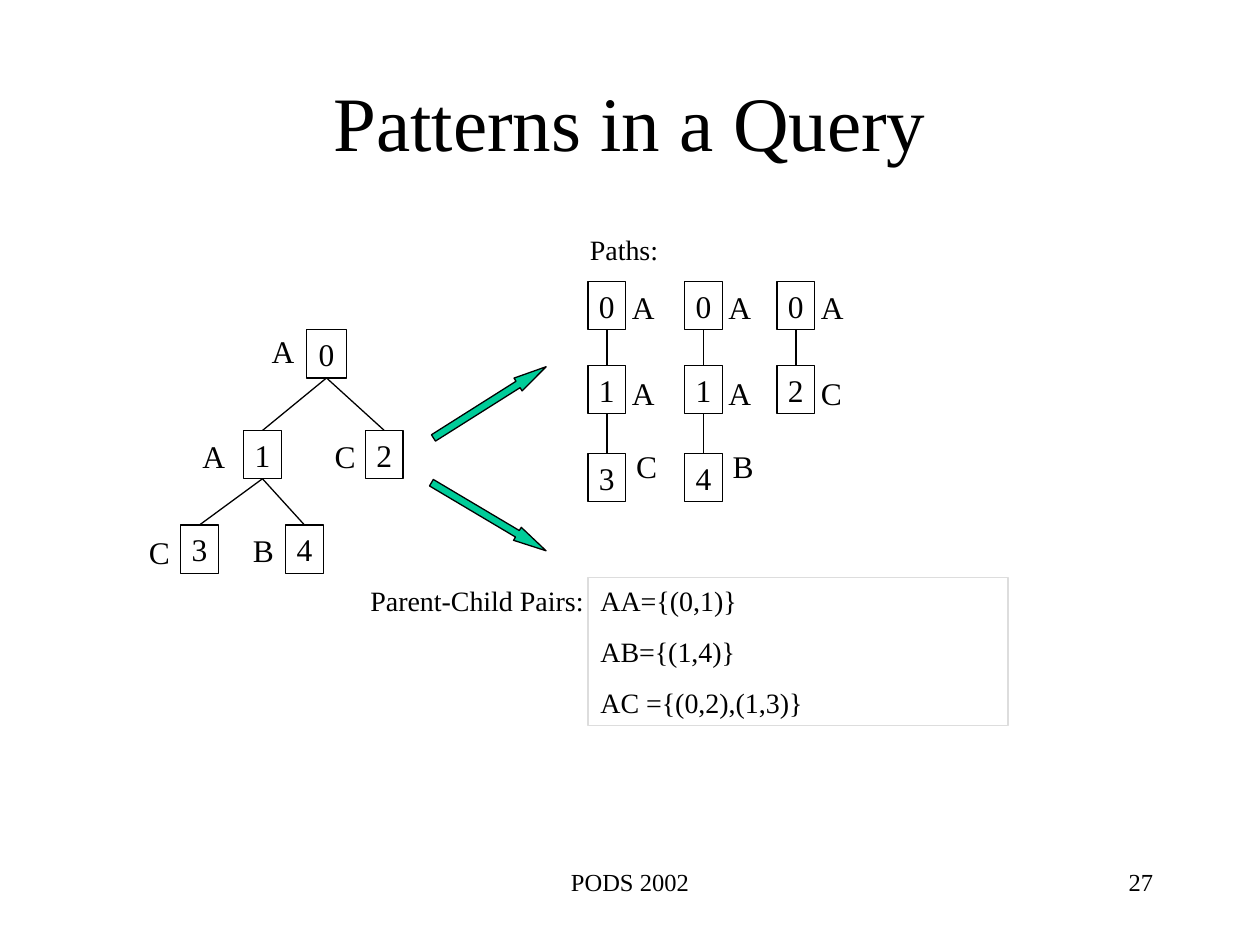
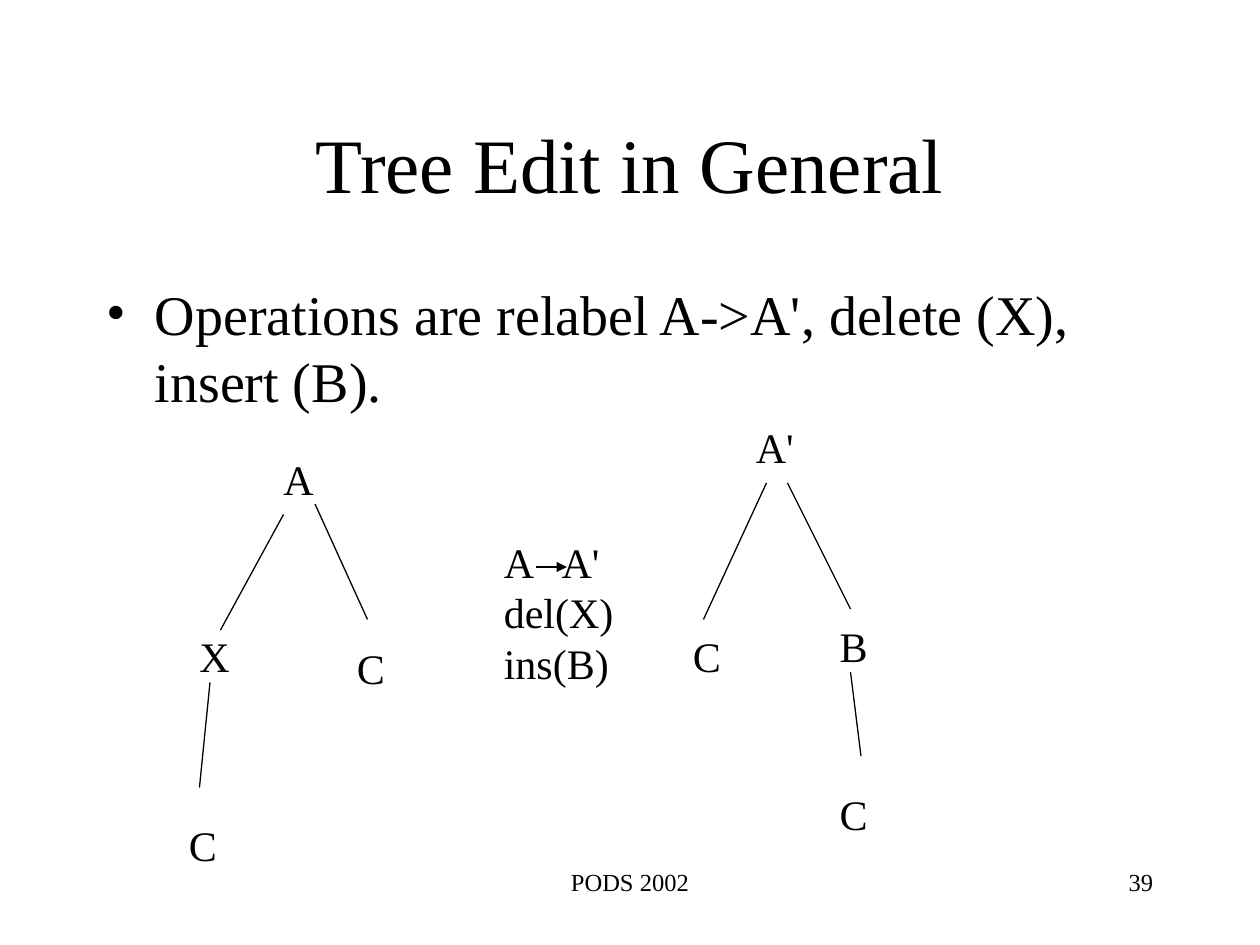
import pptx
import pptx.util
import pptx.dml.color
import pptx.enum.shapes
import pptx.enum.text
import pptx.oxml.ns
from lxml import etree

COLORS = {"ink": "000000", "frame": "DDDDDD", "arrow": "00CC99"}
FONT = "Times New Roman"
COLUMNS, ROWS = 120, 90
WIDTH, HEIGHT = pptx.util.Inches(10), pptx.util.Inches(7.5)
NODE_WIDTH, NODE_HEIGHT = 3.6, 4.6
ALIGN = pptx.enum.text.PP_ALIGN
ANCHOR = pptx.enum.text.MSO_ANCHOR
SHAPE = pptx.enum.shapes.MSO_SHAPE


def col(count):
    return int(WIDTH * count / COLUMNS)


def row(count):
    return int(HEIGHT * count / ROWS)


def place(left, top, width, height):
    return col(left), row(top), col(width), row(height)


def rgb(name):
    return pptx.dml.color.RGBColor.from_string(COLORS[name])


def add_xml(parent, tag, **attributes):
    return etree.SubElement(parent, pptx.oxml.ns.qn(tag), attributes)


def write(frame, lines, size, align=ALIGN.LEFT, gap=0, anchor=ANCHOR.TOP, wrap=True):
    frame.word_wrap = wrap
    frame.vertical_anchor = anchor
    for index, line in enumerate(lines):
        paragraph = frame.paragraphs[0] if index == 0 else frame.add_paragraph()
        paragraph.alignment = align
        if index:
            paragraph.space_before = pptx.util.Pt(gap)
        run = paragraph.add_run()
        run.text = line
        run.font.size = pptx.util.Pt(size)
        run.font.name = FONT
        run.font.color.rgb = rgb("ink")


def add_text(shapes, box, lines, size, **style):
    frame = shapes.add_textbox(*place(*box)).text_frame
    write(frame, lines, size, **style)
    return frame


def add_outline(shapes, kind, box, line="ink", fill=None):
    outline = shapes.add_shape(kind, *place(*box))
    outline.shadow.inherit = False
    outline.line.color.rgb = rgb(line)
    outline.line.width = pptx.util.Pt(0.75)
    if fill:
        outline.fill.solid()
        outline.fill.fore_color.rgb = rgb(fill)
    else:
        outline.fill.background()
    return outline


def add_line(shapes, x1, y1, x2, y2, arrowhead=False):
    line = shapes.add_connector(
        pptx.enum.shapes.MSO_CONNECTOR.STRAIGHT, col(x1), row(y1), col(x2), row(y2))
    line.line.color.rgb = rgb("ink")
    line.line.width = pptx.util.Pt(0.75)
    if arrowhead:
        add_xml(line.line._get_or_add_ln(), "a:tailEnd", type="triangle")
    add_xml(line._element.spPr, "a:effectLst")
    return line


def add_node(shapes, center, top, number, label, label_left, label_top, width=NODE_WIDTH):
    node = add_outline(shapes, SHAPE.RECTANGLE,
                       (center - width / 2, top, width, NODE_HEIGHT))
    write(node.text_frame, [number], 18, align=ALIGN.CENTER,
          anchor=ANCHOR.MIDDLE, wrap=False)
    add_text(shapes, (label_left, label_top, 4.8, 4.8), [label], 18)
    return node, center, top


def add_edge(shapes, parent, child):
    upper, upper_x, upper_top = parent
    lower, lower_x, lower_top = child
    edge = add_line(shapes, upper_x, upper_top + NODE_HEIGHT, lower_x, lower_top)
    edge.begin_connect(upper, 2)
    edge.end_connect(lower, 0)


def add_block_arrow(shapes, left, top, angle):
    arrow = add_outline(shapes, SHAPE.RIGHT_ARROW, (left, top, 12.7, 1.44), fill="arrow")
    arrow.adjustments[0] = 0.5
    arrow.adjustments[1] = 2.2
    arrow.rotation = angle


def start_slide(deck, title, title_top, number):
    slide = deck.slides.add_slide(deck.slide_layouts[6])
    add_text(slide.shapes, (9, title_top, 102, 15), [title], 44,
             align=ALIGN.CENTER, anchor=ANCHOR.MIDDLE)
    add_text(slide.shapes, (41, 82, 38, 6), ["PODS 2002"], 14, align=ALIGN.CENTER)
    add_text(slide.shapes, (86, 82, 25, 6), [number], 14, align=ALIGN.RIGHT)
    return slide.shapes


def add_query_tree(shapes):
    tree = shapes.add_group_shape().shapes
    root = add_node(tree, 31.1, 31.4, "0", "A", 24.7, 31, width=3.8)
    inner = add_node(tree, 25, 41, "1", "A", 18.1, 41)
    right = add_node(tree, 36.6, 41, "2", "C", 30.7, 41)
    left_leaf = add_node(tree, 19, 50, "3", "C", 13, 50.2)
    right_leaf = add_node(tree, 29, 50, "4", "B", 22.9, 50)
    for parent, child in ((root, inner), (root, right),
                          (inner, left_leaf), (inner, right_leaf)):
        add_edge(tree, parent, child)


def add_query_path(shapes, left, steps):
    levels = ((26.8, 26.8, 3), (34.8, 35, 3), (43.2, 42, 3.4))
    previous = None
    for (number, label), (top, label_top, shift) in zip(steps, levels):
        node = add_node(shapes, left + NODE_WIDTH / 2, top, number, label,
                        left + shift, label_top)
        if previous:
            add_edge(shapes, previous, node)
        previous = node


def build_patterns(deck):
    shapes = start_slide(deck, "Patterns in a Query", 4, "27")
    pairs = add_outline(shapes, SHAPE.RECTANGLE, (56, 55, 40, 14.1), line="frame")
    write(pairs.text_frame, ["AA={(0,1)}", "AB={(1,4)}", "AC ={(0,2),(1,3)}"], 16, gap=10)
    add_text(shapes, (34.1, 55, 24, 4.4), ["Parent-Child Pairs:"], 16)
    add_text(shapes, (55, 21.6, 32, 4.4), ["Paths:"], 16)
    paths = ((56, ("0A", "1A", "3C")), (65.2, ("0A", "1A", "4B")), (74, ("0A", "2C")))
    for left, steps in paths:
        add_query_path(shapes, left, steps)
    add_query_tree(shapes)
    add_block_arrow(shapes, 40.3, 37.6, 327.7)
    add_block_arrow(shapes, 40.2, 48.5, 30.7)


def build_tree_edit(deck):
    shapes = start_slide(deck, "Tree Edit in General", 8, "39")
    body = add_text(shapes, (9, 26, 102, 54),
                    ["Operations are relabel A->A', delete (X), insert (B)."], 32)
    indent = pptx.util.Inches(0.38)
    bullet = body.paragraphs[0]._p.get_or_add_pPr()
    bullet.set("marL", str(indent))
    bullet.set("indent", str(-indent))
    bullet_color = add_xml(bullet, "a:buClr")
    add_xml(bullet_color, "a:srgbClr", val=COLORS["ink"])
    add_xml(bullet, "a:buFont", typeface=FONT)
    add_xml(bullet, "a:buChar", char="•")

    labels = (("A", 25.8, 42.6), ("X", 17.8, 59.5), ("C", 32.8, 60.6), ("C", 16.8, 77.5),
              ("A'", 70.8, 39.6), ("C", 64.8, 59.5), ("B", 78.8, 58.5), ("C", 78.8, 74.5))
    for label, left, top in labels:
        add_text(shapes, (left, top, 7, 6), [label], 24)
    edges = ((27, 49, 21, 60), (30, 48, 35, 59), (19, 75, 20, 65),
             (73, 46, 67, 59), (75, 46, 81, 58), (82, 72, 81, 64))
    for edge in edges:
        add_line(shapes, *edge)

    operations = add_text(shapes, (46.8, 50.5, 15, 15.6), ["A\tA'", "del(X)", "ins(B)"], 24)
    tabs = add_xml(operations.paragraphs[0]._p.get_or_add_pPr(), "a:tabLst")
    add_xml(tabs, "a:tab", pos=str(col(5.5)), algn="l")
    add_line(shapes, 51, 54, 54, 54, arrowhead=True)


def main():
    deck = pptx.Presentation()
    deck.slide_width, deck.slide_height = WIDTH, HEIGHT
    build_patterns(deck)
    build_tree_edit(deck)
    deck.save("out.pptx")


if __name__ == "__main__":
    main()
